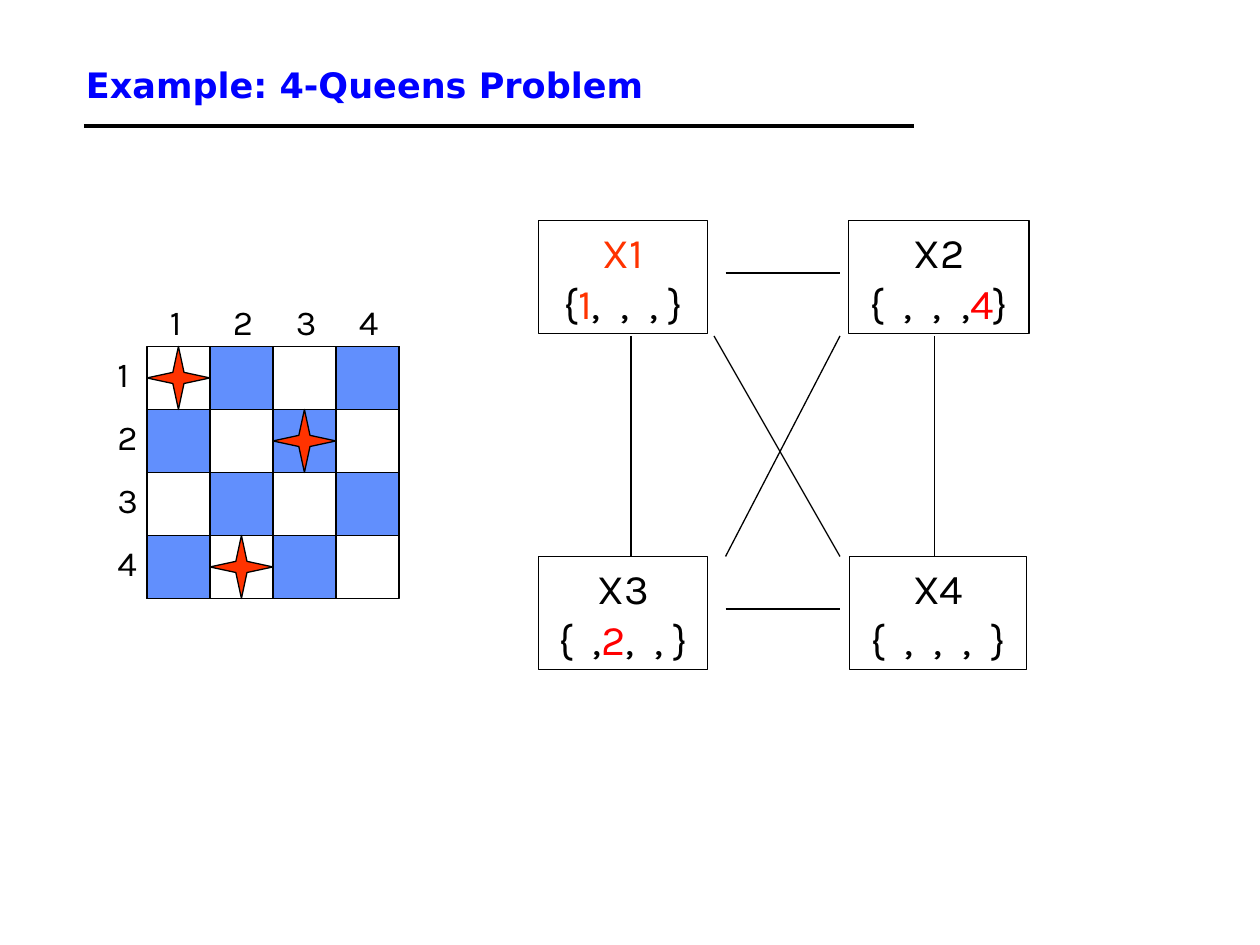
from typing import NamedTuple

from lxml.etree import SubElement
from pptx import Presentation
from pptx.dml.color import RGBColor
from pptx.enum.shapes import MSO_CONNECTOR as CONN, MSO_SHAPE as SHAPE
from pptx.enum.text import MSO_ANCHOR as ANCHOR, MSO_AUTO_SIZE as FIT, PP_ALIGN as ALIGN
from pptx.oxml.ns import qn
from pptx.util import Inches, Pt

BLACK = RGBColor(0x00, 0x00, 0x00)
BLUE = RGBColor(0x00, 0x00, 0xFF)
SQUARE_BLUE = RGBColor(0x61, 0x8F, 0xFD)
ORANGE = RGBColor(0xFF, 0x33, 0x00)
RED = RGBColor(0xFF, 0x00, 0x00)

# The slide is a grid of 120 columns by 90 rows, twelve to the inch
COLS, ROWS = 120, 90
BOARD_LEFT, BOARD_TOP, SQUARE, SIZE = 14, 33, 6, 4


class Run(NamedTuple):
    text: str
    color: RGBColor = BLACK


class Variable(NamedTuple):
    left: float
    top: float
    width: float
    name: Run
    domain: list[Run]


class Edge(NamedTuple):
    x1: float
    y1: float
    x2: float
    y2: float


class Queen(NamedTuple):
    row: int
    col: int


VARIABLES = [
    Variable(51.3, 21, 16.1, Run("X1", ORANGE),
             [Run("{"), Run("1", ORANGE), Run(",  ,  , }")]),
    Variable(51.3, 53, 16.1, Run("X3"),
             [Run("{  ,"), Run("2", RED), Run(",  , }")]),
    Variable(80.9, 53, 16.9, Run("X4"), [Run("{  ,  ,  ,  }")]),
    Variable(80.8, 21, 17.2, Run("X2"),
             [Run("{  ,  ,  ,"), Run("4", RED), Run("}")]),
]
EDGES = [
    Edge(69.1, 26, 80, 26), Edge(69.1, 58, 80, 58),    # rows
    Edge(60.1, 32, 60.1, 53), Edge(89, 32, 89, 53),    # columns
    Edge(68, 32, 80, 53), Edge(80, 32, 69.1, 53),      # diagonals
]
QUEENS = [Queen(0, 0), Queen(3, 1), Queen(1, 2)]


def grid(*units: float) -> list[int]:
    return [Inches(u / 12) for u in units]


def add_run(p, run: Run, size: float, font: str = "Karla", bold: bool = False) -> None:
    r = p.add_run()
    r.text = run.text
    r.font.name, r.font.size, r.font.bold = font, Pt(size), bold
    r.font.color.rgb = run.color


def outline(sp, fill: RGBColor | None = None) -> None:
    sp.shadow.inherit = False
    if fill is None:
        sp.fill.background()
    else:
        sp.fill.solid()
        sp.fill.fore_color.rgb = fill
    sp.line.color.rgb = BLACK
    sp.line.width = Pt(0.75)


def add_rect(shapes, left: float, top: float, width: float, height: float,
             fill: RGBColor | None = None):
    sp = shapes.add_shape(SHAPE.RECTANGLE, *grid(left, top, width, height))
    outline(sp, fill)
    return sp


def add_line(shapes, edge: Edge, width: float = 0.75) -> None:
    ln = shapes.add_connector(CONN.STRAIGHT, *grid(*edge))
    ln.line.color.rgb = BLACK
    ln.line.width = Pt(width)
    SubElement(ln._element.spPr, qn("a:effectLst"))


def add_label(shapes, left: float, top: float, text: str) -> None:
    tf = shapes.add_textbox(*grid(left, top, 4.3, 5.25)).text_frame
    tf.word_wrap, tf.auto_size = False, FIT.SHAPE_TO_FIT_TEXT
    add_run(tf.paragraphs[0], Run(text), 20)


def add_variable(shapes, var: Variable) -> None:
    tf = add_rect(shapes, var.left, var.top, var.width, 10.8).text_frame
    tf.word_wrap, tf.auto_size = False, FIT.SHAPE_TO_FIT_TEXT
    tf.vertical_anchor = ANCHOR.TOP
    for p, runs in ((tf.paragraphs[0], [var.name]), (tf.add_paragraph(), var.domain)):
        p.alignment = ALIGN.CENTER
        for run in runs:
            add_run(p, run, 24)


def add_queen(shapes, queen: Queen) -> None:
    x = BOARD_LEFT + (queen.col + 0.5) * SQUARE
    y = BOARD_TOP + (queen.row + 0.5) * SQUARE
    tip, notch = SQUARE / 2, 0.53
    star = [(-tip, 0), (-notch, -notch), (0, -tip), (notch, -notch),
            (tip, 0), (notch, notch), (0, tip), (-notch, notch)]
    points = [tuple(grid(x + dx, y + dy)) for dx, dy in star]
    builder = shapes.build_freeform(*points[0])
    builder.add_line_segments(points[1:], close=True)
    outline(builder.convert_to_shape(), ORANGE)


def main() -> None:
    prs = Presentation()
    prs.slide_width, prs.slide_height = grid(COLS, ROWS)
    s = prs.slides.add_slide(prs.slide_layouts[6])

    # Title and rule
    add_line(s.shapes, Edge(8, 12, 87, 12), 2.25)
    tf = s.shapes.add_textbox(*grid(7, 4, 102, 8)).text_frame
    tf.word_wrap, tf.vertical_anchor = True, ANCHOR.MIDDLE
    add_run(tf.paragraphs[0], Run("Example: 4-Queens Problem", BLUE), 20, "DejaVu Sans", True)

    # Chessboard with row and column numbers
    board = s.shapes.add_group_shape().shapes
    add_rect(board, BOARD_LEFT, BOARD_TOP, SIZE * SQUARE, SIZE * SQUARE)
    for row in range(SIZE):
        for col in range(SIZE):
            if (row + col) % 2:
                add_rect(board, BOARD_LEFT + col * SQUARE, BOARD_TOP + row * SQUARE,
                         SQUARE, SQUARE, SQUARE_BLUE)
    for i in range(SIZE):
        add_label(board, BOARD_LEFT - 4, BOARD_TOP + i * SQUARE, str(i + 1))
        add_label(board, BOARD_LEFT + 1 + i * SQUARE, BOARD_TOP - 5, str(i + 1))

    # Constraint graph
    graph = s.shapes.add_group_shape().shapes
    for var in VARIABLES:
        add_variable(graph, var)
    for edge in EDGES:
        add_line(graph, edge)

    # Placed queens
    for queen in QUEENS:
        add_queen(s.shapes, queen)

    prs.save("out.pptx")


if __name__ == "__main__":
    main()
